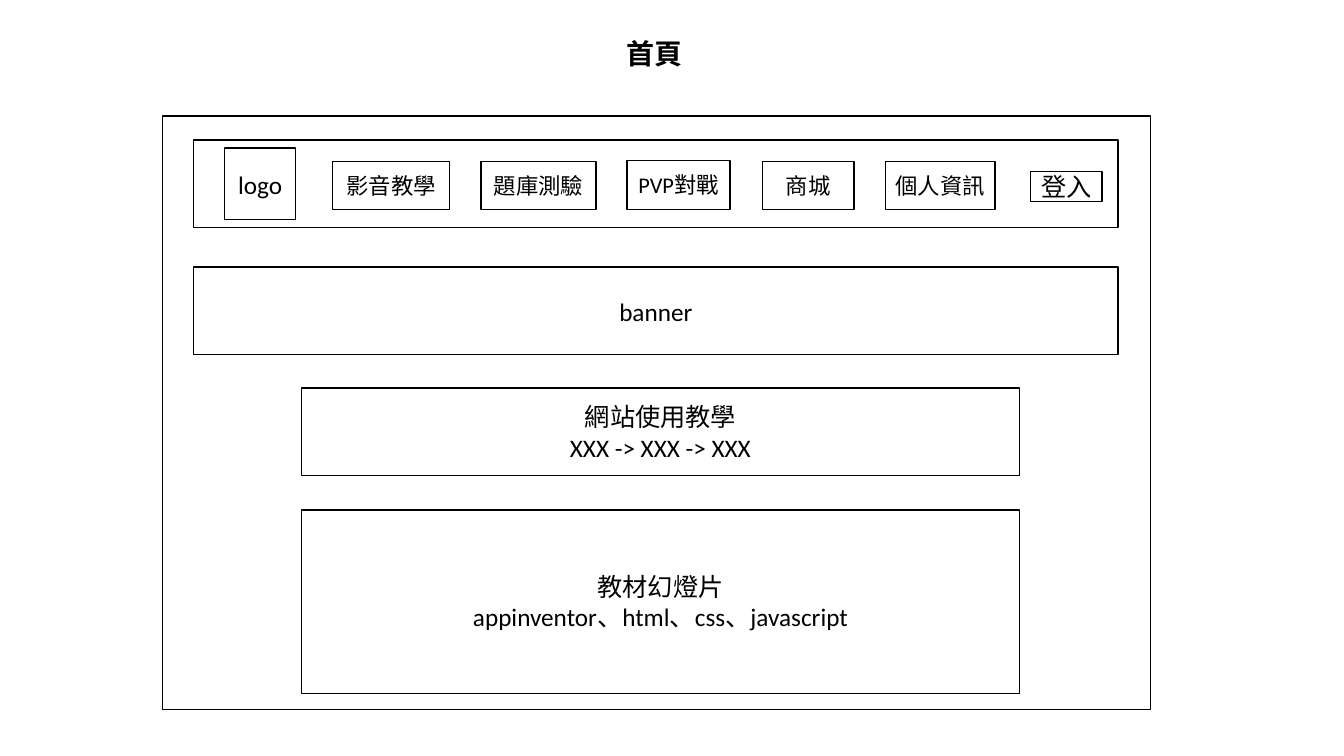
from dataclasses import dataclass

from pptx import Presentation
from pptx.dml.color import RGBColor
from pptx.enum.shapes import MSO_SHAPE
from pptx.enum.text import MSO_ANCHOR, MSO_AUTO_SIZE, PP_ALIGN
from pptx.util import Inches, Pt


@dataclass(frozen=True)
class Theme:
    font: str = "Calibri"
    ink: RGBColor = RGBColor(0, 0, 0)
    paper: RGBColor = RGBColor(255, 255, 255)
    title: Pt = Pt(20)
    body: Pt = Pt(18)
    menu: Pt = Pt(16)
    line: Pt = Pt(1)


THEME = Theme()

MENU_ITEMS = [
    ("影音教學", 3.3, 1.6, 1.16, 0.48),
    ("題庫測驗", 4.77, 1.6, 1.14, 0.48),
    ("PVP對戰", 6.22, 1.59, 1.02, 0.49),
    ("商城", 7.56, 1.6, 0.91, 0.48),
    ("個人資訊", 8.78, 1.6, 1.09, 0.48),
]


def write_text(text_frame, text, size, alignment, bold=False):
    text_frame.text = text
    for paragraph in text_frame.paragraphs:
        paragraph.alignment = alignment
        for run in paragraph.runs:
            run.font.name = THEME.font
            run.font.size = size
            run.font.bold = bold
            run.font.color.rgb = THEME.ink


def add_title(slide, text, left, top, width, height):
    text_box = slide.shapes.add_textbox(
        Inches(left), Inches(top), Inches(width), Inches(height)
    )
    text_frame = text_box.text_frame
    text_frame.word_wrap = False
    text_frame.auto_size = MSO_AUTO_SIZE.SHAPE_TO_FIT_TEXT
    write_text(text_frame, text, THEME.title, PP_ALIGN.LEFT, bold=True)


def add_box(slide, left, top, width, height, text="", size=THEME.body):
    shape = slide.shapes.add_shape(
        MSO_SHAPE.RECTANGLE, Inches(left), Inches(top), Inches(width), Inches(height)
    )
    shape.shadow.inherit = False
    shape.fill.solid()
    shape.fill.fore_color.rgb = THEME.paper
    shape.line.color.rgb = THEME.ink
    shape.line.width = THEME.line
    if text:
        shape.text_frame.word_wrap = True
        shape.text_frame.vertical_anchor = MSO_ANCHOR.MIDDLE
        write_text(shape.text_frame, text, size, PP_ALIGN.CENTER)


def add_navigation(slide):
    add_box(slide, 1.92, 1.39, 9.17, 0.87)
    add_box(slide, 2.23, 1.47, 0.7, 0.71, "logo")
    for text, left, top, width, height in MENU_ITEMS:
        add_box(slide, left, top, width, height, text, THEME.menu)
    add_box(slide, 10.22, 1.7, 0.71, 0.3, "登入")


def main():
    presentation = Presentation()
    presentation.slide_width = Inches(13.33)
    presentation.slide_height = Inches(7.5)
    slide = presentation.slides.add_slide(presentation.slide_layouts[6])

    add_title(slide, "首頁", 6.12, 0.31, 0.77, 0.44)
    add_box(slide, 1.61, 1.15, 9.8, 5.89)
    add_navigation(slide)
    add_box(slide, 1.92, 2.65, 9.17, 0.87, "banner")
    add_box(slide, 2.99, 3.85, 7.12, 0.87, "網站使用教學\nXXX -> XXX -> XXX")
    add_box(
        slide, 2.99, 5.06, 7.12, 1.82, "教材幻燈片\nappinventor、html、css、javascript"
    )

    presentation.save("out.pptx")


if __name__ == "__main__":
    main()
